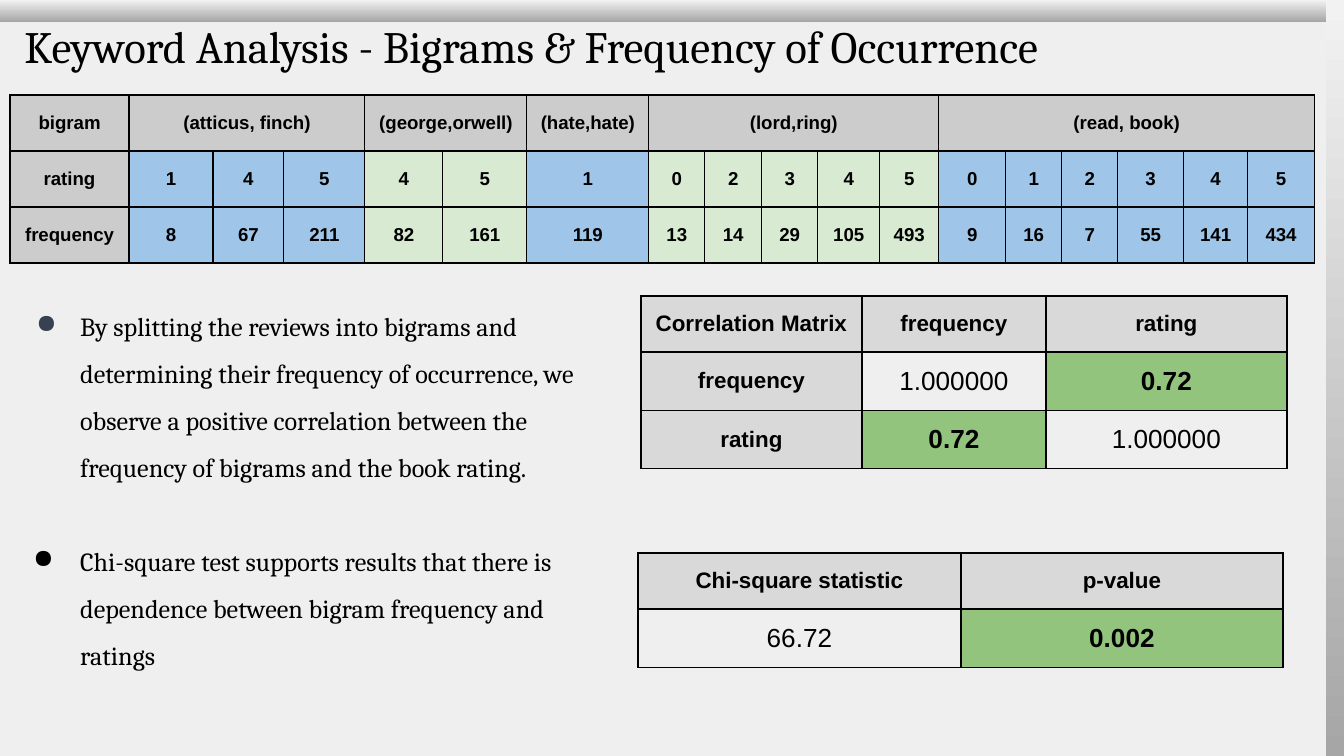
from lxml import etree
from pptx import Presentation
from pptx.dml.color import RGBColor
from pptx.enum.shapes import MSO_SHAPE
from pptx.enum.text import MSO_ANCHOR, PP_ALIGN
from pptx.oxml import parse_xml
from pptx.util import Pt

PX = 914400 / 134.4
RECT = MSO_SHAPE.RECTANGLE
TOP, MIDDLE = MSO_ANCHOR.TOP, MSO_ANCHOR.MIDDLE
LEFT, CENTER = PP_ALIGN.LEFT, PP_ALIGN.CENTER
NS = "http://schemas.openxmlformats.org/drawingml/2006/main"
BACK, GRAY, DARK = "EFEFEF", "D9D9D9", "CCCCCC"
BLUE, MINT, GREEN = "9FC5E8", "D9EAD3", "93C47D"
INSET = dict.fromkeys(
    ("margin_left", "margin_top", "margin_right", "margin_bottom"), round(13.44 * PX))


def px(*sizes):
    return [round(size * PX) for size in sizes]


def color(code):
    return RGBColor.from_string(code)


prs = Presentation()
prs.slide_width, prs.slide_height = px(1344, 756)
slide = prs.slides.add_slide(prs.slide_layouts[5])
slide.background.fill.solid()
slide.background.fill.fore_color.rgb = color(BACK)
shapes = slide.shapes

title = shapes.title
title.left, title.top, title.width, title.height = px(11, 5, 1277, 82)
title.text_frame.text = "Keyword Analysis - Bigrams & Frequency of Occurrence"

for box in ((0, 0, 1344, 22), (1326, 0, 18, 756)):
    bar = shapes.add_shape(RECT, *px(*box))
    bar.shadow.inherit = False
    bar.line.fill.background()
    bar.fill.gradient()
    bar.fill.gradient_angle = 270
    for stop, code in zip(bar.fill.gradient_stops, ("F2F2F2", "A6A6A6")):
        stop.color.rgb = color(code)

body = shapes.add_textbox(*px(0, 281, 621, 440))
points = [
    ("By splitting the reviews into bigrams and determining their frequency of "
     "occurrence, we observe a positive correlation between the frequency of "
     "bigrams and the book rating.", "374151", 44, 0),
    ("Chi-square test supports results that there is dependence between bigram "
     "frequency and ratings", "000000", 47, 25),
]
body.text_frame.text = "\n".join(point[0] for point in points)
for para, (text, code, hang, gap) in zip(body.text_frame.paragraphs, points):
    para.line_spacing = 1.5
    para.space_before = Pt(gap)
    props = para._p.get_or_add_pPr()
    margin, indent = px(67, -hang)
    props.set("marL", str(margin))
    props.set("indent", str(indent))
    tint = etree.SubElement(props, f"{{{NS}}}buClr")
    etree.SubElement(tint, f"{{{NS}}}srgbClr", val=code)
    etree.SubElement(props, f"{{{NS}}}buChar", char="●")

for shape, size in ((title, 24), (body, 14)):
    frame = shape.text_frame
    for name, value in {**INSET, "word_wrap": True, "vertical_anchor": TOP}.items():
        setattr(frame, name, value)
    for para in frame.paragraphs:
        para.alignment = LEFT
        font = para.runs[0].font
        font.name, font.size, font.color.rgb = "Cambria", Pt(size), color("000000")

groups = [
    ("(atticus, finch)", BLUE, {1: 8, 4: 67, 5: 211}),
    ("(george,orwell)", MINT, {4: 82, 5: 161}),
    ("(hate,hate)", BLUE, {1: 119}),
    ("(lord,ring)", MINT, {0: 13, 2: 14, 3: 29, 4: 105, 5: 493}),
    ("(read, book)", BLUE, {0: 9, 1: 16, 2: 7, 3: 55, 4: 141, 5: 434}),
]
bigrams = [[(name, DARK, 10, True)] for name in ("bigram", "rating", "frequency")]
spans = []
for name, fill, counts in groups:
    spans.append((len(bigrams[0]), len(counts)))
    for rating, count in counts.items():
        bigrams[0].append((name, DARK, 10, True))
        bigrams[1].append((rating, fill, 10, True))
        bigrams[2].append((count, fill, 10, True))
        name = ""

one, high = ("1.000000", BACK, 14, False), ("0.72", GREEN, 14, True)
matrix, freq, rate = [
    (name, GRAY, 12, True) for name in ("Correlation Matrix", "frequency", "rating")]
chi = [
    [("Chi-square statistic", GRAY, 12, True), ("p-value", GRAY, 12, True)],
    [("66.72", BACK, 14, False), ("0.002", GREEN, 14, True)],
]
tables = [
    (641, 296, [221, 184, 241], [56, 58, 58],
     [[matrix, freq, rate], [freq, one, high], [rate, high, one]], []),
    (638, 553, [323, 322], [56, 58], chi, []),
    (10, 95, [119, 84, 71, 81, 78, 84, 122, 56, 57, 56, 62, 59, 67, 56, 56, 66, 64, 67],
     [56, 56, 56], bigrams, spans),
]
for left, top, widths, heights, rows, merges in tables:
    place = px(left, top, sum(widths), sum(heights))
    table = shapes.add_table(len(rows), len(widths), *place).table
    table.first_row = table.horz_banding = False
    for col, width in zip(table.columns, px(*widths)):
        col.width = width
    for row, height in zip(table.rows, px(*heights)):
        row.height = height
    for y, row in enumerate(rows):
        for x, (text, fill, size, bold) in enumerate(row):
            cell = table.cell(y, x)
            for name, value in {**INSET, "vertical_anchor": MIDDLE}.items():
                setattr(cell, name, value)
            props = cell._tc.get_or_add_tcPr()
            for side in "LRTB":
                props.append(parse_xml(
                    f'<a:ln{side} xmlns:a="{NS}" w="9525"><a:solidFill>'
                    f'<a:srgbClr val="000000"/></a:solidFill></a:ln{side}>'))
            cell.fill.solid()
            cell.fill.fore_color.rgb = color(fill)
            para = cell.text_frame.paragraphs[0]
            para.alignment = CENTER
            para.font.size = Pt(size)
            if text != "":
                run = para.add_run()
                run.text = str(text)
                looks = {"name": "Arial", "size": Pt(size), "bold": bold}
                for name, value in looks.items():
                    setattr(run.font, name, value)
                run.font.color.rgb = color("000000")
    for start, count in merges:
        if count > 1:
            table.cell(0, start).merge(table.cell(0, start + count - 1))

prs.save("out.pptx")
